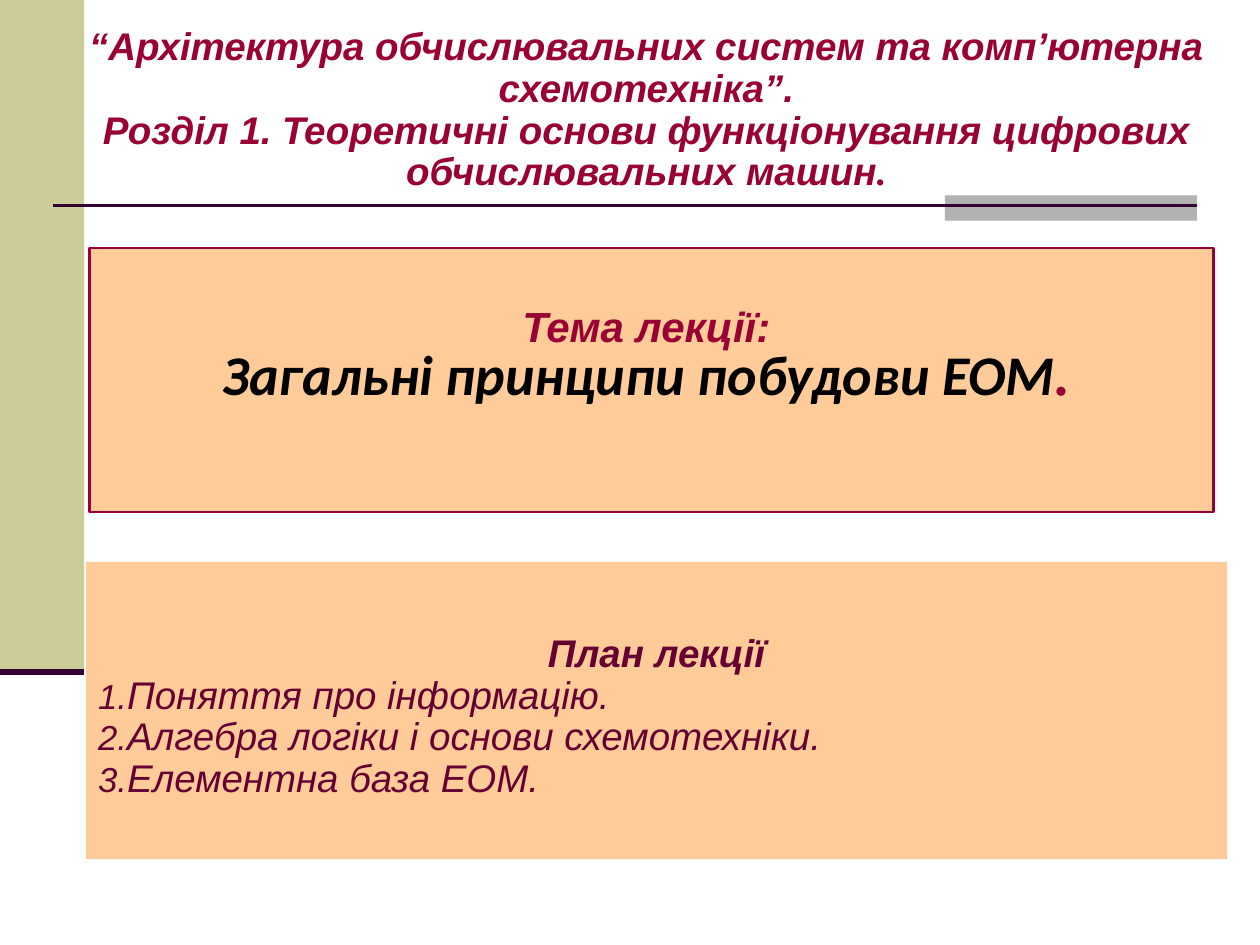
from dataclasses import dataclass
from typing import Optional

from lxml.etree import SubElement
from pptx import Presentation
from pptx.dml.color import RGBColor
from pptx.enum.shapes import MSO_CONNECTOR, MSO_SHAPE
from pptx.enum.text import MSO_ANCHOR, PP_ALIGN
from pptx.oxml.ns import qn
from pptx.util import Cm, Pt

PURPLE = "330033"
CRIMSON = "990033"
PLUM = "660033"
PEACH = "FFCC99"


@dataclass(frozen=True)
class Area:
    left: float
    top: float
    width: float
    height: float


@dataclass(frozen=True)
class Panel:
    area: Area
    fill: str
    line: Optional[str] = None


@dataclass(frozen=True)
class Rule:
    left: float
    right: float
    height: float
    weight: float


@dataclass(frozen=True)
class Span:
    text: str
    size: float
    color: str = CRIMSON
    font: str = "Arial"
    bold: bool = True


@dataclass(frozen=True)
class Paragraph:
    spans: tuple[Span, ...]
    spacing: float = 0.9
    before: float = 0
    numbered: bool = False


SIDEBAR = Panel(Area(0, 0, 1.7, 13.55), "CCCC99")
ACCENT = Panel(Area(19.05, 3.94, 5.08, 0.51), "B2B2B2")
TITLE_RULE = Rule(1.06, 24.13, 4.14, 1.5)
SIDEBAR_RULE = Rule(0, 1.7, 13.55, 3.5)
TOPIC = Panel(Area(1.8, 5, 22.66, 5.32), PEACH, CRIMSON)
PLAN = Panel(Area(1.73, 11.33, 23.01, 5.99), PEACH)
TITLE_AREA = Area(1.22, 0.53, 23.62, 3.5)
TOPIC_AREA = Area(1.6, 6.22, 22.86, 2.11)

TITLE_TEXT = (
    Paragraph((Span("“Архітектура обчислювальних систем та комп’ютерна схемотехніка”.", 22),)),
    Paragraph((
        Span("Розділ 1. Теоретичні основи функціонування цифрових обчислювальних машин", 22),
        Span(".", 22, font="Times New Roman"),
    )),
)
TOPIC_TEXT = (
    Paragraph((Span("Тема лекції:", 24),), 0.8),
    Paragraph((
        Span("Загальні принципи побудови ЕОМ", 32, "000000", "Calibri"),
        Span(".", 32, font="Times New Roman"),
    ), 0.8, before=1),
)
PLAN_ITEMS = (
    "Поняття про інформацію.",
    "Алгебра логіки і основи схемотехніки.",
    "Елементна база ЕОМ.",
)
PLAN_TEXT = (
    Paragraph((Span("План лекції", 22, PLUM),)),
    *(Paragraph((Span(item, 22, PLUM, bold=False),), numbered=True) for item in PLAN_ITEMS),
)


def paint(target, color: str) -> None:
    target.rgb = RGBColor.from_string(color)


def lengths(area: Area) -> tuple:
    return Cm(area.left), Cm(area.top), Cm(area.width), Cm(area.height)


def add_panel(page, panel: Panel):
    box = page.shapes.add_shape(MSO_SHAPE.RECTANGLE, *lengths(panel.area))
    box.shadow.inherit = False
    box.fill.solid()
    paint(box.fill.fore_color, panel.fill)
    if panel.line:
        paint(box.line.color, panel.line)
        box.line.width = Pt(1.5)
    else:
        box.line.fill.background()
    return box


def add_rule(page, rule: Rule) -> None:
    connector = page.shapes.add_connector(
        MSO_CONNECTOR.STRAIGHT,
        Cm(rule.left), Cm(rule.height), Cm(rule.right), Cm(rule.height),
    )
    paint(connector.line.color, PURPLE)
    connector.line.width = Pt(rule.weight)
    SubElement(connector._element.spPr, qn("a:effectLst"))


def number(para, color: str) -> None:
    properties = para._p.get_or_add_pPr()
    bullet_color = SubElement(properties, qn("a:buClr"))
    SubElement(bullet_color, qn("a:srgbClr"), val=color)
    SubElement(properties, qn("a:buSzPct"), val="90000")
    SubElement(properties, qn("a:buAutoNum"), type="arabicPeriod")


def write(frame, paragraphs: tuple[Paragraph, ...]) -> None:
    frame.word_wrap = True
    for index, content in enumerate(paragraphs):
        para = frame.add_paragraph() if index else frame.paragraphs[0]
        para.alignment = PP_ALIGN.LEFT if content.numbered else PP_ALIGN.CENTER
        para.line_spacing = content.spacing
        para.space_before = Pt(content.before)
        if content.numbered:
            number(para, content.spans[0].color)
        for span in content.spans:
            run = para.add_run()
            run.text = span.text
            run.font.name = span.font
            run.font.size = Pt(span.size)
            run.font.bold = span.bold
            run.font.italic = True
            paint(run.font.color, span.color)


def add_text(page, area: Area, paragraphs: tuple[Paragraph, ...]) -> None:
    frame = page.shapes.add_textbox(*lengths(area)).text_frame
    frame.margin_left = frame.margin_right = Cm(0.05)
    frame.margin_top = frame.margin_bottom = Cm(0.03)
    write(frame, paragraphs)


def main() -> None:
    deck = Presentation()
    deck.slide_width, deck.slide_height = Cm(25.4), Cm(19.05)
    page = deck.slides.add_slide(deck.slide_layouts[6])
    for panel in (SIDEBAR, ACCENT):
        add_panel(page, panel)
    for rule in (TITLE_RULE, SIDEBAR_RULE):
        add_rule(page, rule)
    add_panel(page, TOPIC)
    plan_frame = add_panel(page, PLAN).text_frame
    plan_frame.vertical_anchor = MSO_ANCHOR.MIDDLE
    plan_frame.margin_top = Cm(0.4)
    write(plan_frame, PLAN_TEXT)
    add_text(page, TITLE_AREA, TITLE_TEXT)
    add_text(page, TOPIC_AREA, TOPIC_TEXT)
    deck.save("out.pptx")


if __name__ == "__main__":
    main()
